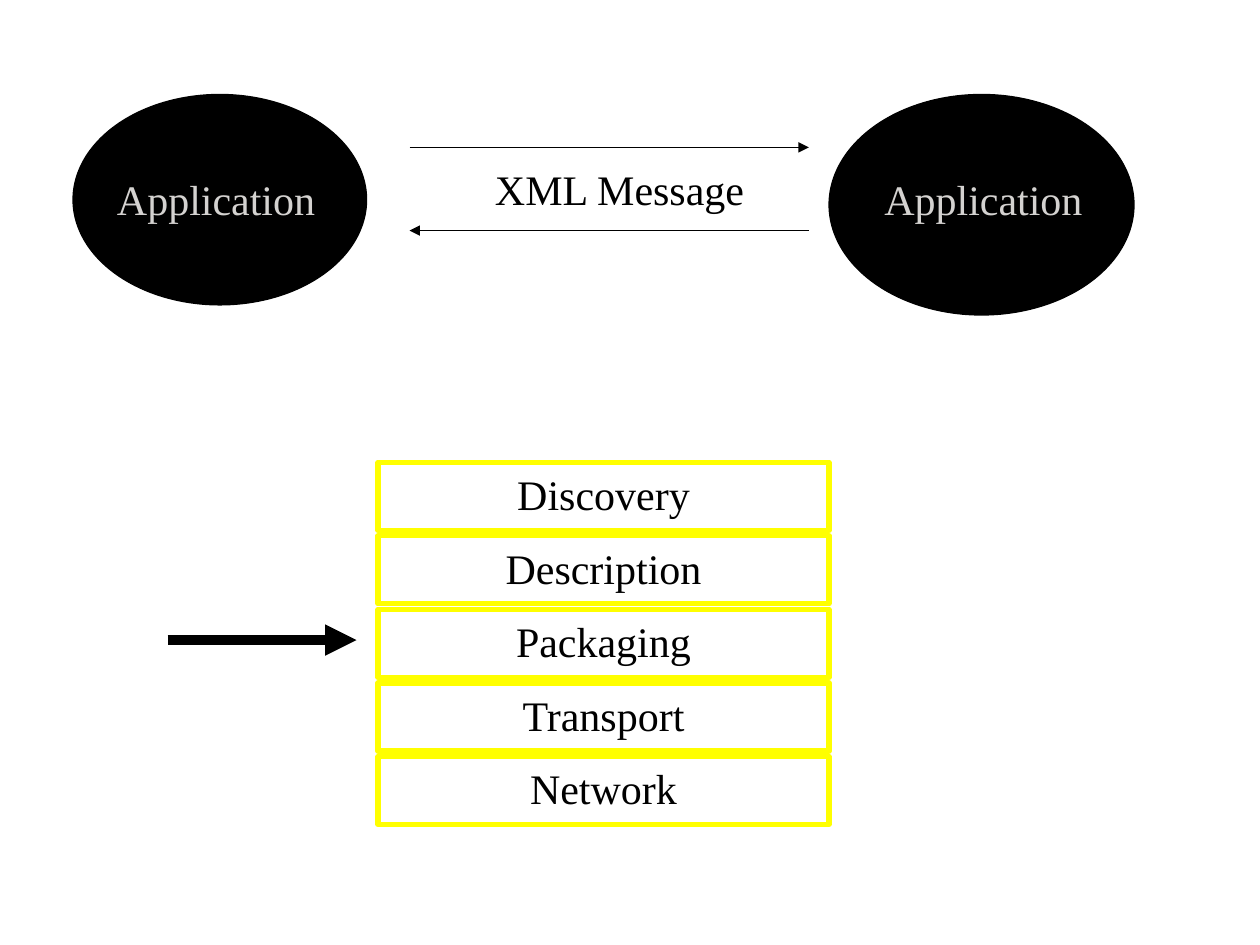
from pptx import Presentation
from pptx.dml.color import RGBColor
from pptx.enum.shapes import MSO_CONNECTOR as CONN, MSO_SHAPE as SHAPE
from pptx.enum.text import MSO_ANCHOR as ANCHOR, MSO_AUTO_SIZE as AUTO, PP_ALIGN as ALIGN
from pptx.oxml.ns import qn
from pptx.util import Inches, Pt
from lxml import etree

FONT = "Times New Roman"
BLACK, GREY, YELLOW = "000000", "D4D2D0", "FFFF00"

ELLIPSES = [(0.58, 0.75, 2.33, 1.67), (6.58, 0.75, 2.42, 1.75)]
APPLICATIONS = [(0.83, 1.33, 1.92, 0.5), (6.92, 1.33, 1.92, 0.51)]
MESSAGE = (3.83, 1.25, 2.67, 0.5)
ARROWS = [
    (3.25, 1.17, 6.42, 1.17, 0.75),
    (6.42, 1.83, 3.25, 1.83, 0.75),
    (1.33, 5.08, 2.83, 5.08, 6),
]
LAYERS = ["Discovery", "Description", "Packaging", "Transport", "Network"]
STACK_LEFT, STACK_TOP, LAYER_W, LAYER_H = 3, 3.67, 3.58, 0.54
LAYER_STEP = 7 / 12


def rgb(color):
    return RGBColor.from_string(color)


def add_box(kind, box, fill=None, line=None, width=0.75):
    s = shapes.add_shape(kind, *map(Inches, box))
    s.shadow.inherit = False
    if fill:
        s.fill.solid()
        s.fill.fore_color.rgb = rgb(fill)
    else:
        s.fill.background()
    if line:
        s.line.color.rgb = rgb(line)
        s.line.width = Pt(width)
    else:
        s.line.fill.background()
    return s


def add_text(s, text, color=BLACK, align=ALIGN.LEFT):
    tf = s.text_frame
    tf.word_wrap = True
    tf.auto_size = AUTO.SHAPE_TO_FIT_TEXT
    tf.vertical_anchor = ANCHOR.TOP
    p = tf.paragraphs[0]
    p.alignment = align
    r = p.add_run()
    r.text = text
    r.font.name = FONT
    r.font.size = Pt(24)
    r.font.color.rgb = rgb(color)


def add_arrow(x1, y1, x2, y2, width):
    s = shapes.add_connector(CONN.STRAIGHT, *map(Inches, (x1, y1, x2, y2)))
    s.line.color.rgb = rgb(BLACK)
    s.line.width = Pt(width)
    etree.SubElement(s.line._get_or_add_ln(), qn("a:tailEnd"), type="triangle")
    etree.SubElement(s._element.spPr, qn("a:effectLst"))


prs = Presentation()
prs.slide_width, prs.slide_height = Inches(10), Inches(7.5)
shapes = prs.slides.add_slide(prs.slide_layouts[6]).shapes

for box in ELLIPSES:
    add_box(SHAPE.OVAL, box, BLACK, BLACK)
for box in APPLICATIONS:
    add_text(add_box(SHAPE.RECTANGLE, box, BLACK), "Application", GREY)

add_text(shapes.add_textbox(*map(Inches, MESSAGE)), "XML Message")

for i, name in enumerate(LAYERS):
    box = (STACK_LEFT, STACK_TOP + i * LAYER_STEP, LAYER_W, LAYER_H)
    add_text(add_box(SHAPE.RECTANGLE, box, line=YELLOW, width=3), name, align=ALIGN.CENTER)

for arrow in ARROWS:
    add_arrow(*arrow)

prs.save("out.pptx")
